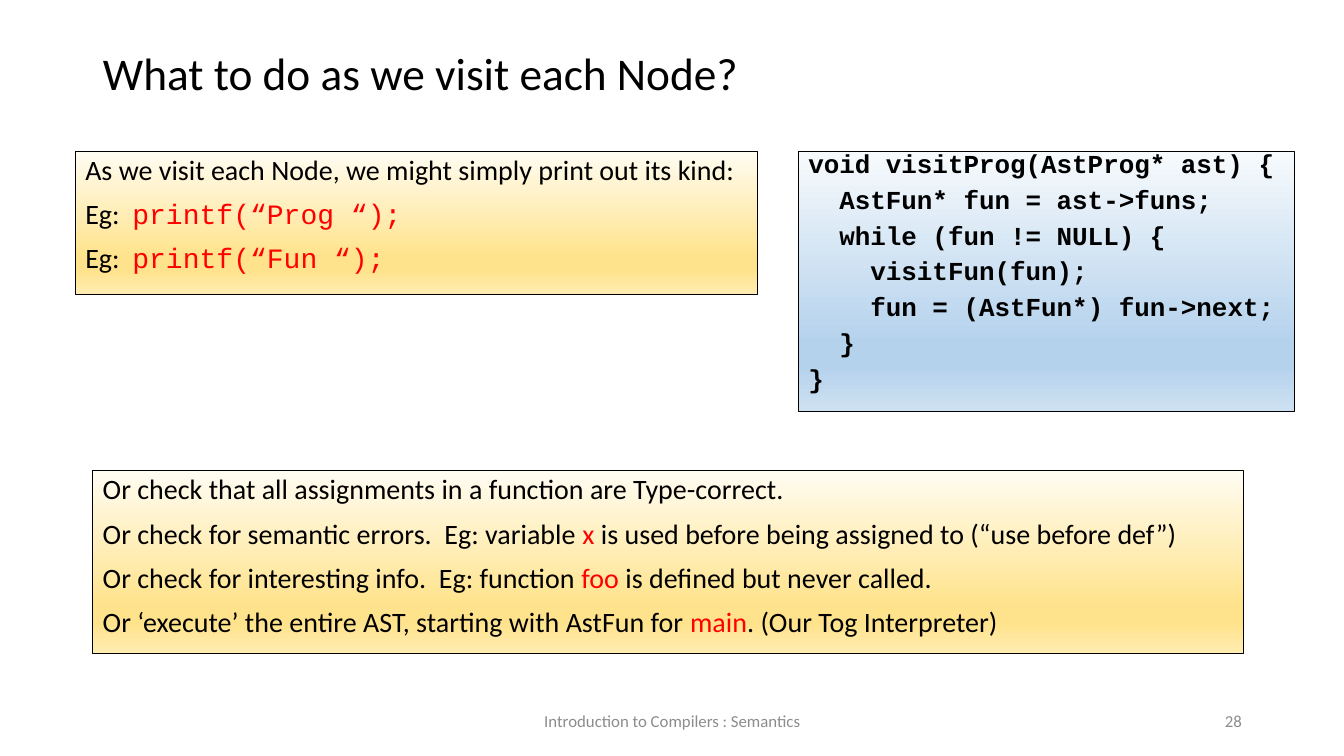
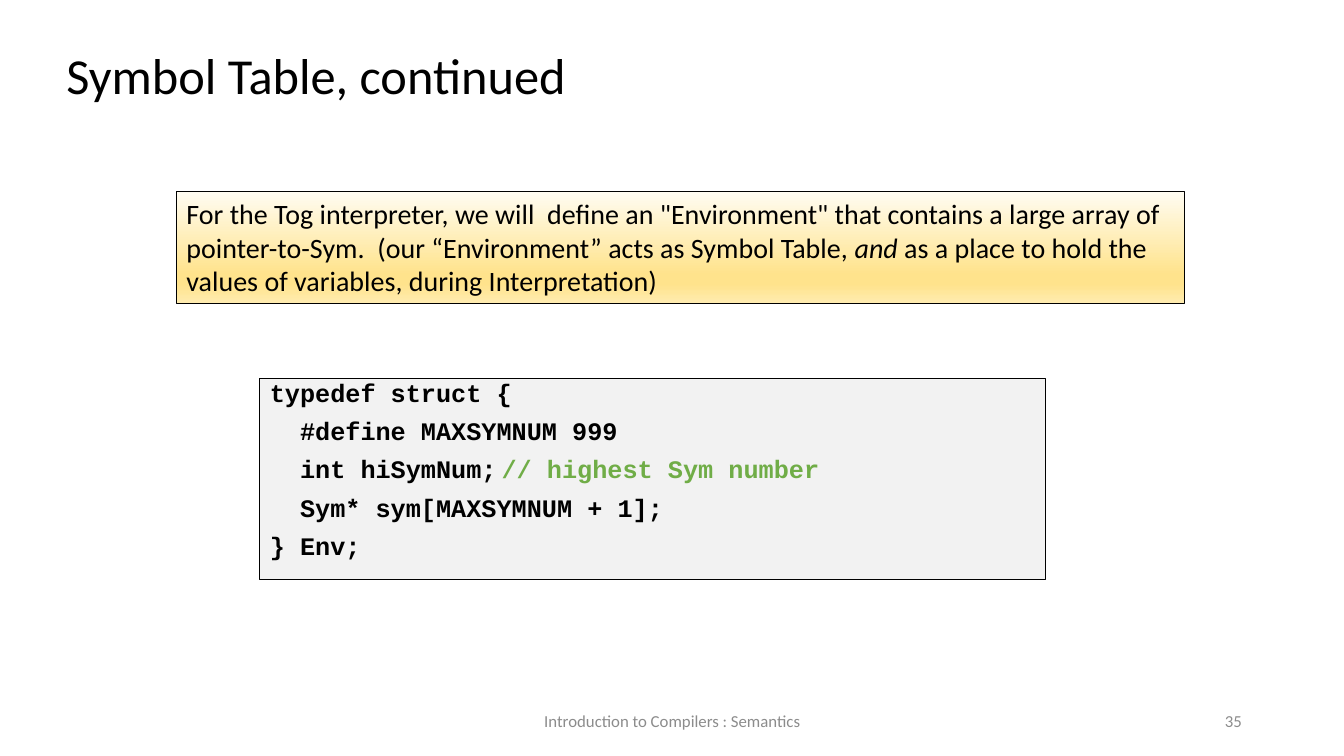
from dataclasses import dataclass

from lxml import etree
from pptx import Presentation
from pptx.dml.color import RGBColor
from pptx.enum.shapes import MSO_SHAPE
from pptx.enum.text import MSO_ANCHOR, MSO_AUTO_SIZE, PP_ALIGN
from pptx.oxml.ns import qn
from pptx.util import Cm, Pt

RECTANGLE = MSO_SHAPE.RECTANGLE
MIDDLE, TOP = MSO_ANCHOR.MIDDLE, MSO_ANCHOR.TOP
LEFT, CENTER, RIGHT = PP_ALIGN.LEFT, PP_ALIGN.CENTER, PP_ALIGN.RIGHT
NO_AUTOFIT = MSO_AUTO_SIZE.NONE

BLACK = RGBColor(0x00, 0x00, 0x00)
RED = RGBColor(0xFF, 0x00, 0x00)
GREEN = RGBColor(0x70, 0xAD, 0x47)
GRAY = RGBColor(0x8C, 0x8C, 0x8C)
PALE_GRAY = RGBColor(0xF2, 0xF2, 0xF2)
GOLD = (RGBColor(0xFF, 0xFC, 0xF2), RGBColor(0xFF, 0xE3, 0x8C), RGBColor(0xFF, 0xEC, 0xB2))
BLUE = (RGBColor(0xF7, 0xFA, 0xFD), RGBColor(0xB5, 0xD2, 0xEC), RGBColor(0xCE, 0xE1, 0xF2))

BODY_FONT, CODE_FONT = "Calibri", "Courier New"
CODE_CHARACTER = 0.6  # width of a code character relative to its size
CODE_INDENT = 2  # characters per indent level
FOOTER = "Introduction to Compilers : Semantics"


@dataclass(frozen=True)
class Area:
    left: float
    top: float
    width: float
    height: float

    def lengths(self) -> tuple:
        return Cm(self.left), Cm(self.top), Cm(self.width), Cm(self.height)


@dataclass(frozen=True)
class Span:
    text: str
    color: RGBColor = BLACK
    font: str | None = None
    italic: bool | None = None


@dataclass(frozen=True)
class Line:
    spans: tuple[Span, ...]
    level: int = 0
    tab: int | None = None  # tab stop, in code characters


@dataclass(frozen=True)
class TextStyle:
    size: float
    font: str = BODY_FONT
    bold: bool = False
    line_spacing: float = 1.0
    space_before: float = 0


@dataclass(frozen=True)
class Panel:
    area: Area
    fill: RGBColor | tuple[RGBColor, ...]
    style: TextStyle
    lines: tuple[Line, ...]


@dataclass(frozen=True)
class Page:
    title: str
    title_area: Area
    title_size: float
    number: int
    panels: tuple[Panel, ...]


FOOTER_AREA = Area(11.23, 17.65, 11.43, 1.02)
NUMBER_AREA = Area(23.93, 17.65, 7.62, 1.02)
FOOTER_STYLE = TextStyle(12)
LIST_STYLE = TextStyle(20, line_spacing=0.9, space_before=10)
NOTE_STYLE = TextStyle(20)
VISIT_CODE = TextStyle(18.5, CODE_FONT, True, 0.7, 10)
STRUCT_CODE = TextStyle(18, CODE_FONT, True, 0.8, 10)


def line(*spans: str | Span, level: int = 0, tab: int | None = None) -> Line:
    """Make a line from plain strings and formatted spans."""
    return Line(tuple(Span(s) if isinstance(s, str) else s for s in spans), level, tab)


def red(text: str, font: str | None = None) -> Span:
    return Span(text, RED, font)


PAGES = (
    Page("What to do as we visit each Node?", Area(2.34, 1.04, 17.2, 1.75), 32.4, 28, (
        Panel(Area(20.12, 3.81, 12.5, 6.55), BLUE, VISIT_CODE, (
            line("void visitProg(AstProg* ast) {"),
            line("AstFun* fun = ast->funs;", level=1),
            line("while (fun != NULL) {", level=1),
            line("visitFun(fun);", level=2),
            line("fun = (AstFun*) fun->next;", level=2),
            line("}", level=1),
            line("}"),
        )),
        Panel(Area(1.9, 3.81, 17.2, 3.61), GOLD, LIST_STYLE, (
            line("As we visit each Node, we might simply print out its kind:"),
            line("Eg:  ", red("printf(“Prog “);", CODE_FONT)),
            line("Eg:  ", red("printf(“Fun “);", CODE_FONT)),
        )),
        Panel(Area(2.34, 11.86, 29, 4.62), GOLD, LIST_STYLE, (
            line("Or check that all assignments in a function are Type-correct."),
            line("Or check for semantic errors.  Eg: variable ", red("x"),
                 " is used before being assigned to (“use before def”)"),
            line("Or check for interesting info.  Eg: function ", red("foo"),
                 " is defined but never called."),
            line("Or ‘execute’ the entire AST, starting with AstFun for ", red("main"),
                 ". (Our Tog Interpreter)"),
        )),
    )),
    Page("Symbol Table, continued", Area(1.42, 1.09, 21.9, 1.75), 36, 35, (
        Panel(Area(6.55, 9.53, 19.79, 5.08), PALE_GRAY, STRUCT_CODE, (
            line("typedef struct {"),
            line("#define MAXSYMNUM 999", level=1),
            line("int hiSymNum;\t", Span("// highest Sym number", GREEN), level=1, tab=28),
            line("Sym* sym[MAXSYMNUM + 1];", level=1),
            line("} Env;"),
        )),
        Panel(Area(4.45, 4.83, 25.4, 2.82), GOLD, NOTE_STYLE, (
            line('For the Tog interpreter, we will  define an "Environment" that contains '
                 "a large array of pointer-to-Sym.  (our “Environment” acts as Symbol Table, ",
                 Span("and", italic=True),
                 " as a place to hold the values of variables, during Interpretation)"),
        )),
    )),
)


def write_lines(shape, lines: tuple[Line, ...], style: TextStyle,
                align: PP_ALIGN = LEFT, anchor: MSO_ANCHOR = TOP) -> None:
    frame = shape.text_frame
    frame.word_wrap = True
    frame.auto_size = NO_AUTOFIT
    frame.vertical_anchor = anchor
    character = style.size * CODE_CHARACTER
    for index, content in enumerate(lines):
        para = frame.paragraphs[0] if index == 0 else frame.add_paragraph()
        para.alignment = align
        para.line_spacing = style.line_spacing
        para.space_before = Pt(style.space_before)
        para.font.size = Pt(style.size)
        para.font.bold = style.bold
        if not any(span.font for span in content.spans):
            para.font.name = style.font
        colors = {span.color for span in content.spans}
        if len(colors) == 1:
            para.font.color.rgb = content.spans[0].color
        properties = para._p.get_or_add_pPr()
        if content.level:
            properties.set("marL", str(Pt(content.level * CODE_INDENT * character)))
            properties.set("indent", "0")
        if content.tab:
            tabs = etree.Element(qn("a:tabLst"))
            etree.SubElement(tabs, qn("a:tab"), pos=str(Pt(content.tab * character)), algn="l")
            properties.insert_element_before(tabs, "a:defRPr", "a:extLst")
        for span in content.spans:
            run = para.add_run()
            run.text = span.text
            if para.font.name is None:
                run.font.name = span.font or style.font
            if len(colors) > 1:
                run.font.color.rgb = span.color
            run.font.italic = span.italic


def fill_gradient(shape, colors: tuple[RGBColor, ...]) -> None:
    """Fill from top to bottom with light, deep (held for a while) and medium."""
    light, deep, medium = colors
    shape.fill.gradient()
    gradient = shape._element.spPr.find(qn("a:gradFill"))
    stops = gradient.find(qn("a:gsLst"))
    for stop in list(stops):
        stops.remove(stop)
    for percent, color in ((0, light), (74, deep), (83, deep), (100, medium)):
        stop = etree.SubElement(stops, qn("a:gs"), pos=str(percent * 1000))
        etree.SubElement(stop, qn("a:srgbClr"), val=str(color))
    gradient.find(qn("a:lin")).set("ang", str(90 * 60000))


def draw_panel(slide, panel: Panel) -> None:
    box = slide.shapes.add_shape(RECTANGLE, *panel.area.lengths())
    box.shadow.inherit = False
    box.line.color.rgb = BLACK
    box.line.width = Pt(0.75)
    if isinstance(panel.fill, RGBColor):
        box.fill.solid()
        box.fill.fore_color.rgb = panel.fill
    else:
        fill_gradient(box, panel.fill)
    write_lines(box, panel.lines, panel.style)


def draw_footer(slide, area: Area, text: str, align: PP_ALIGN) -> None:
    box = slide.shapes.add_textbox(*area.lengths())
    write_lines(box, (line(Span(text, GRAY)),), FOOTER_STYLE, align, MIDDLE)


def draw_page(deck, page: Page) -> None:
    slide = deck.slides.add_slide(deck.slide_layouts.get_by_name("Title Only"))
    title = slide.shapes.title
    title.left, title.top, title.width, title.height = page.title_area.lengths()
    title_style = TextStyle(page.title_size, line_spacing=0.9)
    write_lines(title, (line(page.title),), title_style, LEFT, MIDDLE)
    for panel in page.panels:
        draw_panel(slide, panel)
    draw_footer(slide, FOOTER_AREA, FOOTER, CENTER)
    draw_footer(slide, NUMBER_AREA, str(page.number), RIGHT)


def main() -> None:
    deck = Presentation()
    deck.slide_width, deck.slide_height = Cm(33.87), Cm(19.05)
    for page in PAGES:
        draw_page(deck, page)
    deck.save("out.pptx")


if __name__ == "__main__":
    main()
